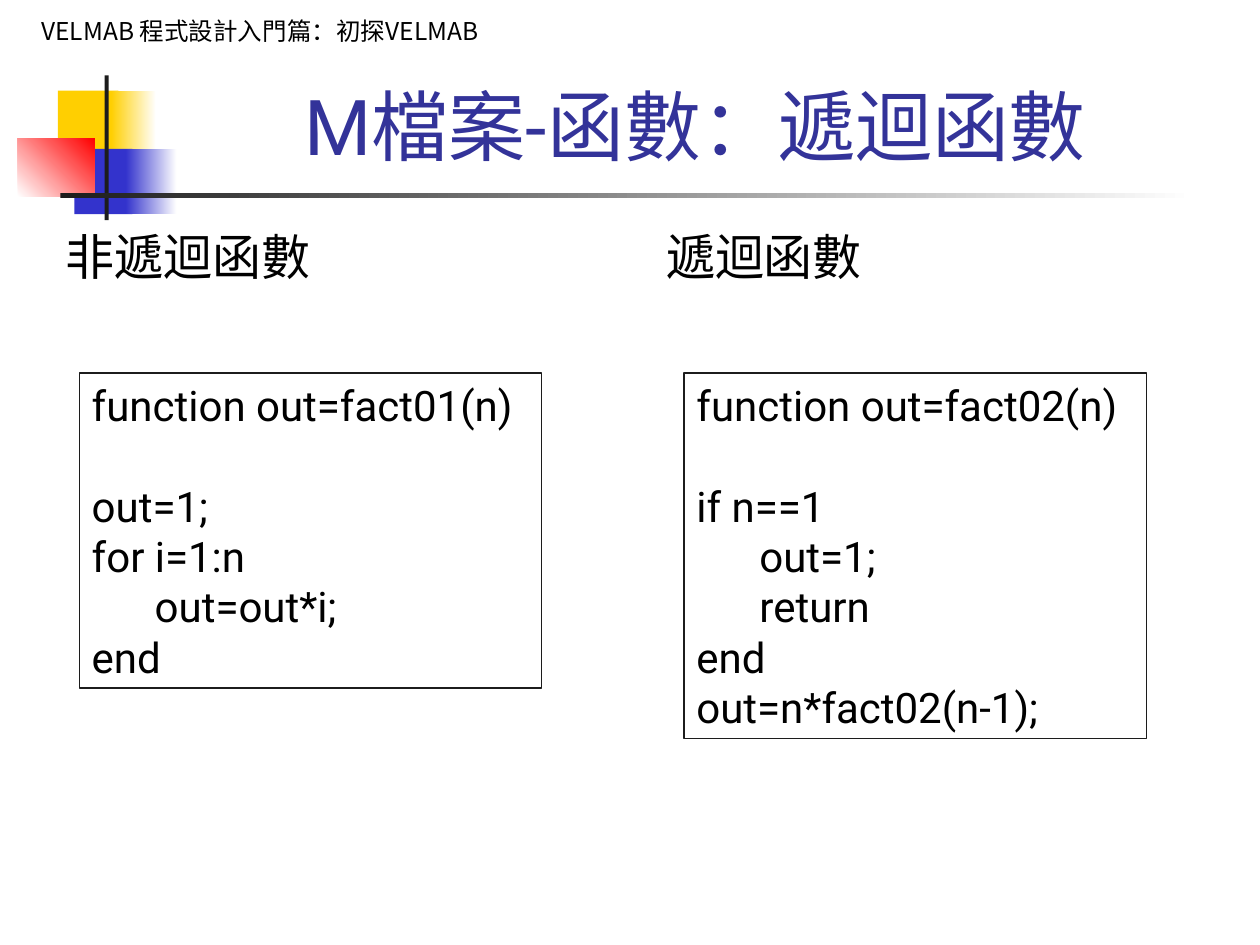
from pptx import Presentation
from pptx.dml.color import RGBColor
from pptx.enum.shapes import MSO_SHAPE as Preset
from pptx.enum.text import MSO_ANCHOR as Anchor, MSO_AUTO_SIZE as AutoSize, PP_ALIGN as Align
from pptx.oxml.ns import qn
from pptx.util import Cm, Pt
from lxml.etree import SubElement

COLORS = {
    "yellow": "FFCF01", "blue": "3333CC", "red": "FF0000", "white": "FFFFFF",
    "dark": "1C1C1C", "title": "333399", "text": "000000",
}
LATIN, CJK = "Roboto", "Noto Sans CJK SC"
HEADER = "VELMAB 程式設計入門篇：初探VELMAB"
TITLE = "M檔案-函數：遞迴函數"

# left, top, width, height in cm, fill colours, gradient angle
DECORATIONS = [
    (1.17, 1.83, 1.22, 1.32, ["yellow"], 0),
    (2.24, 1.83, 0.91, 1.32, ["yellow", "white"], 0),
    (1.5, 3, 1.17, 1.32, ["blue"], 0),
    (2.54, 3, 1.02, 1.32, ["blue", "white"], 0),
    (0.36, 2.79, 1.55, 1.17, ["white", "red"], 45),
    (2.11, 1.52, 0.08, 2.92, ["dark"], 0),
    (1.22, 3.89, 22.86, 0.1, ["dark", "white"], 0),
]
COLUMNS = [
    {"heading": "非遞迴函數", "left": 1.07, "code_left": 1.6, "code": [
        "function out=fact01(n)", "", "out=1;", "for i=1:n", "\tout=out*i;", "end"]},
    {"heading": "遞迴函數", "left": 13.18, "code_left": 13.79, "code": [
        "function out=fact02(n)", "", "if n==1", "\tout=1;", "\treturn", "end",
        "out=n*fact02(n-1);"]},
]
CODE_TOP, CODE_WIDTH, LINE_HEIGHT, CODE_PADDING = 7.52, 9.32, 1.02, 0.23


def color(name):
    return RGBColor.from_string(COLORS[name])


def add_rectangle(slide, left, top, width, height):
    shape = slide.shapes.add_shape(
        Preset.RECTANGLE, Cm(left), Cm(top), Cm(width), Cm(height))
    shape.shadow.inherit = False
    shape.fill.background()
    shape.line.fill.background()
    return shape


def paint(shape, names, angle=0):
    if len(names) == 1:
        shape.fill.solid()
        shape.fill.fore_color.rgb = color(names[0])
        return
    shape.fill.gradient()
    shape.fill.gradient_angle = angle
    for stop, name in zip(shape.fill.gradient_stops, names):
        stop.color.rgb = color(name)


def write(shape, text, size, name="text", font=LATIN, align=Align.LEFT, anchor=Anchor.TOP):
    frame = shape.text_frame
    frame.text = text
    frame.word_wrap = True
    frame.auto_size = AutoSize.NONE
    frame.vertical_anchor = anchor
    for paragraph in frame.paragraphs:
        paragraph.alignment = align
        paragraph.font.size = Pt(size)
        for run in paragraph.runs:
            run.font.size = Pt(size)
            run.font.name = font
            run.font.color.rgb = color(name)
            SubElement(run.font._element, qn("a:ea"), typeface=CJK)


def add_bullet(paragraph):
    properties = paragraph._p.get_or_add_pPr()
    indent = Cm(0.95)
    properties.set("marL", str(indent))
    properties.set("indent", str(-indent))
    bullet_color = SubElement(properties, qn("a:buClr"))
    SubElement(bullet_color, qn("a:srgbClr"), val=COLORS["blue"])
    SubElement(properties, qn("a:buSzPct"), val="60000")
    SubElement(properties, qn("a:buFont"), typeface=CJK)
    SubElement(properties, qn("a:buChar"), char="■")


def add_column(slide, column):
    heading = slide.shapes.add_textbox(Cm(column["left"]), Cm(4.45), Cm(11.7), Cm(12.9))
    add_bullet(heading.text_frame.paragraphs[0])
    write(heading, column["heading"], 28)

    height = len(column["code"]) * LINE_HEIGHT + CODE_PADDING
    box = add_rectangle(slide, column["code_left"], CODE_TOP, CODE_WIDTH, height)
    box.line.color.rgb = color("dark")
    box.line.width = Pt(0.75)
    write(box, "\n".join(column["code"]), 24)


def main():
    """Build the slide that compares a loop with a recursive function."""
    presentation = Presentation()
    presentation.slide_width, presentation.slide_height = Cm(25.4), Cm(19.05)
    slide = presentation.slides.add_slide(presentation.slide_layouts[5])

    for left, top, width, height, names, angle in DECORATIONS:
        paint(add_rectangle(slide, left, top, width, height), names, angle)

    header = add_rectangle(slide, 0.2, 0.2, 10.08, 0.86)
    paint(header, ["white"])
    write(header, HEADER, 14, font=CJK, align=Align.CENTER)

    title = slide.shapes.title
    title.left, title.top, title.width, title.height = Cm(3.2), Cm(1.47), Cm(21.64), Cm(2.11)
    write(title, TITLE, 44, "title", align=Align.CENTER, anchor=Anchor.BOTTOM)

    for column in COLUMNS:
        add_column(slide, column)
    presentation.save("out.pptx")


if __name__ == "__main__":
    main()
